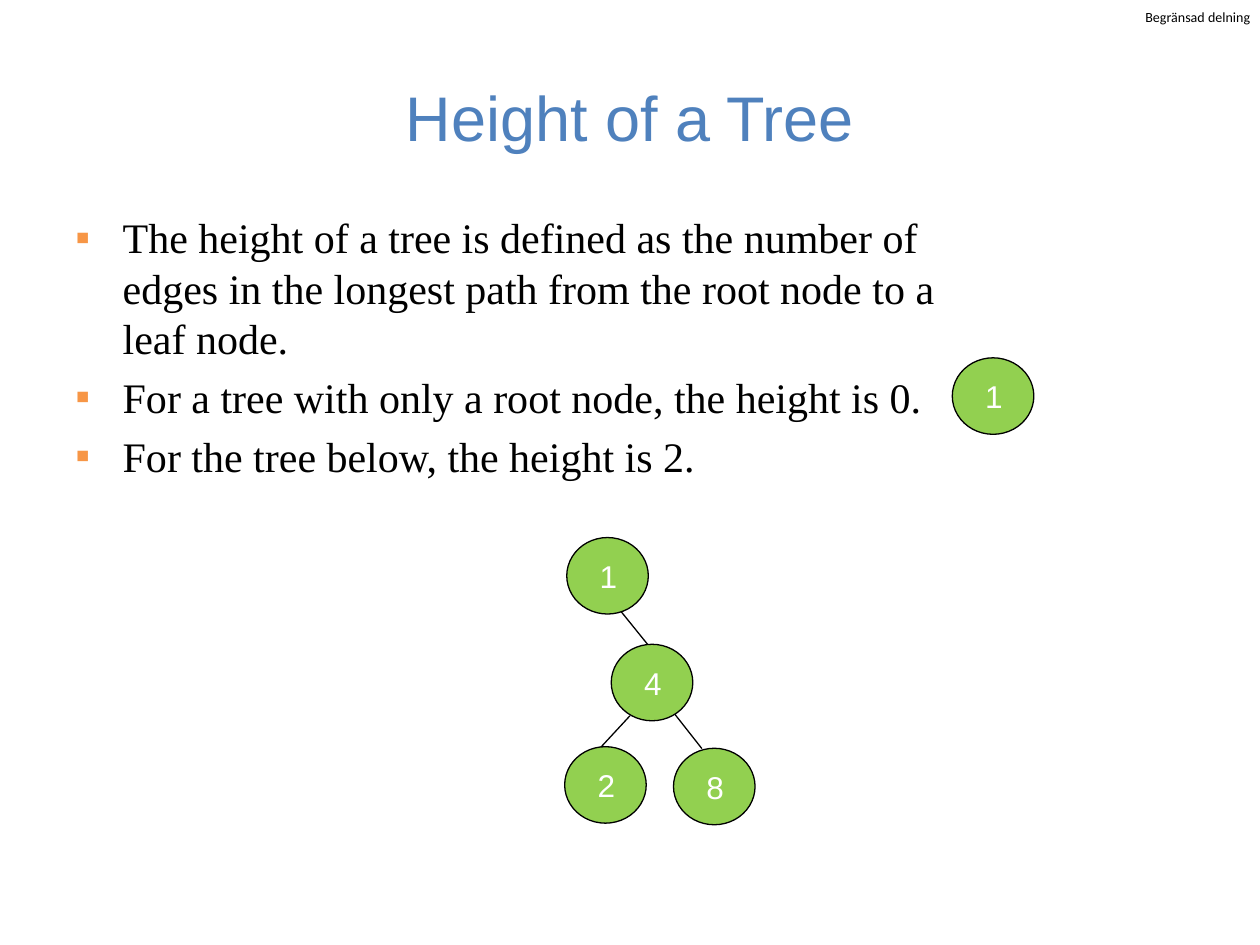
from lxml import etree
from pptx import Presentation
from pptx.dml.color import RGBColor
from pptx.enum.shapes import MSO_CONNECTOR, MSO_SHAPE
from pptx.enum.text import MSO_ANCHOR, PP_ALIGN
from pptx.oxml.ns import qn
from pptx.util import Pt

OVAL = MSO_SHAPE.OVAL
STRAIGHT = MSO_CONNECTOR.STRAIGHT
MIDDLE, TOP = MSO_ANCHOR.MIDDLE, MSO_ANCHOR.TOP
CENTER, LEFT = PP_ALIGN.CENTER, PP_ALIGN.LEFT

COLORS = {"title": "4F81BD", "text": "000000", "bullet": "F79646",
          "node": "92D050", "line": "000000", "label": "FFFFFF"}
NODE_WIDTH, NODE_HEIGHT = 46.6, 43.7
INDENT = 27
POINTS = [
    "The height of a tree is defined as the number of edges in the longest "
    "path from the root node to a leaf node.",
    "For a tree with only a root node, the height is 0.",
    "For the tree below, the height is 2.",
]
# Node label and offset from the top left of the tree
TREE_NODES = [("1", 1.2, 0), ("4", 26.6, 61), ("2", 0, 119.5), ("8", 62.2, 120.4)]
# Parent end and child end of each edge, from the same corner
TREE_EDGES = [(37.3, 101.8, 20, 120.5), (62.5, 100.4, 78.4, 120.6), (32, 42, 48, 61.8)]


def format_font(font, name, size, color):
    font.name = name
    font.size = Pt(size)
    font.color.rgb = RGBColor.from_string(COLORS[color])


def add_text(slide, box, text, font, align=LEFT, anchor=TOP, margins=(7.2, 3.6), wrap=True):
    shape = slide.shapes.add_textbox(*map(Pt, box))
    frame = shape.text_frame
    frame.word_wrap = wrap
    frame.vertical_anchor = anchor
    frame.margin_left = frame.margin_right = Pt(margins[0])
    frame.margin_top = frame.margin_bottom = Pt(margins[1])
    frame.text = text
    for paragraph in frame.paragraphs:
        paragraph.alignment = align
        for run in paragraph.runs:
            format_font(run.font, *font)
    return frame


def add_bullet(paragraph):
    properties = paragraph._p.get_or_add_pPr()
    properties.set("marL", str(Pt(INDENT)))
    properties.set("indent", str(-Pt(INDENT)))
    color = etree.SubElement(properties, qn("a:buClr"))
    etree.SubElement(color, qn("a:srgbClr"), val=COLORS["bullet"])
    etree.SubElement(properties, qn("a:buFont"), typeface="Arial")
    etree.SubElement(properties, qn("a:buChar"), char="▪")


def add_body(slide, box):
    frame = add_text(slide, box, "\n".join(POINTS), ("Times New Roman", 24, "text"))
    for index, paragraph in enumerate(frame.paragraphs):
        add_bullet(paragraph)
        paragraph.space_before = Pt(4.8 if index else 0)


def add_node(slide, left, top, label):
    node = slide.shapes.add_shape(OVAL, Pt(left), Pt(top), Pt(NODE_WIDTH), Pt(NODE_HEIGHT))
    node.shadow.inherit = False
    node.fill.solid()
    node.fill.fore_color.rgb = RGBColor.from_string(COLORS["node"])
    node.line.color.rgb = RGBColor.from_string(COLORS["line"])
    node.line.width = Pt(0.75)
    frame = node.text_frame
    frame.margin_left = Pt(1)
    frame.margin_right = frame.margin_top = frame.margin_bottom = 0
    frame.vertical_anchor = MIDDLE
    frame.text = label
    paragraph = frame.paragraphs[0]
    paragraph.alignment = CENTER
    format_font(paragraph.runs[0].font, "Arial", 18, "label")


def add_edge(slide, start_x, start_y, end_x, end_y):
    edge = slide.shapes.add_connector(STRAIGHT, Pt(start_x), Pt(start_y), Pt(end_x), Pt(end_y))
    edge.line.color.rgb = RGBColor.from_string(COLORS["line"])
    edge.line.width = Pt(0.75)
    etree.SubElement(edge._element.spPr, qn("a:effectLst"))


def add_tree(slide, left, top):
    # Edges first, so that the nodes cover their ends
    for x1, y1, x2, y2 in TREE_EDGES:
        add_edge(slide, left + x1, top + y1, left + x2, top + y2)
    for label, x, y in TREE_NODES:
        add_node(slide, left + x, top + y, label)


def main():
    presentation = Presentation()
    presentation.slide_width, presentation.slide_height = Pt(720), Pt(540)
    slide = presentation.slides.add_slide(presentation.slide_layouts[6])

    # Sharing label, title and bullets
    add_text(slide, (654.5, 5, 62, 9.4), "Begränsad delning", ("Calibri", 8, "text"),
             margins=(0, 0), wrap=False)
    add_text(slide, (36, 21.6, 648, 90), "Height of a Tree", ("Arial", 36, "title"),
             align=CENTER, anchor=MIDDLE)
    add_body(slide, (36, 117.4, 542, 414))

    # Lone root node and example tree
    add_node(slide, 544.2, 204.5, "1")
    add_tree(slide, 322.7, 307.2)

    presentation.save("out.pptx")


if __name__ == "__main__":
    main()
